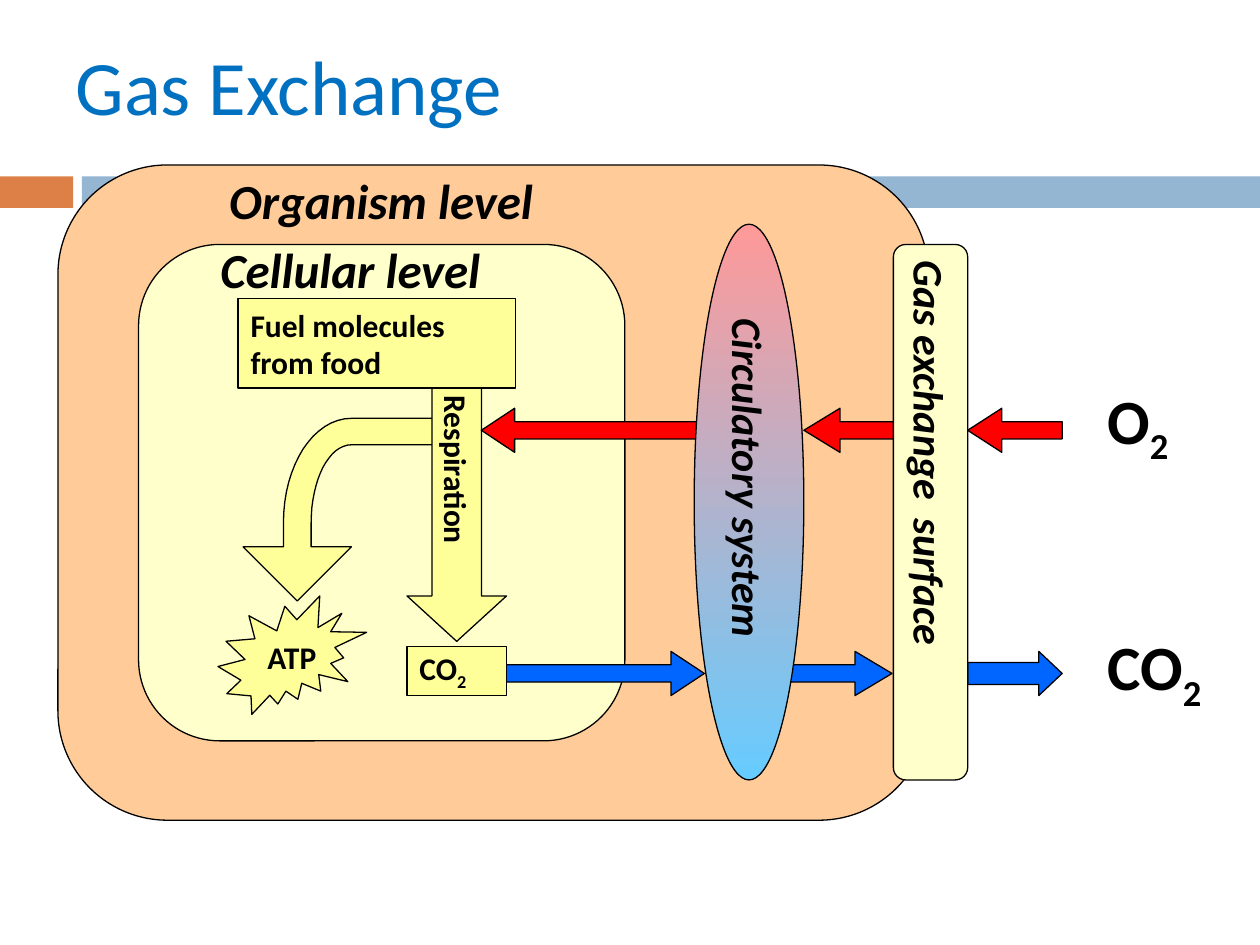
import pptx
import pptx.util
import pptx.dml.color
import pptx.enum.shapes
import pptx.enum.text

Inches = pptx.util.Inches
SHAPE = pptx.enum.shapes.MSO_SHAPE

FONT = "Calibri"
COLORS = {
    "title": "0070C0", "ink": "000000", "accent": "DD8047", "band": "94B6D2",
    "organism": "FFCC99", "pale": "FFFFCC", "yellow": "FFFF99",
    "oxygen": "FF0000", "carbon": "0066FF", "warm": "FF9999", "cool": "66CCFF",
}
ROUNDING = [0.167]

# Header bands: colour, left, width
BANDS = [("accent", 0, 0.58), ("band", 0.65, 9.35)]

# Nested levels: label, colour, box, label box
LEVELS = [
    ("Organism level", "organism", (0.46, 1.31, 6.91, 5.2), (1.72, 1.43, 3.62, 0.31)),
    ("Cellular level", "pale", (1.1, 1.94, 3.86, 3.94), (1.65, 1.94, 2.84, 0.39)),
]

# Bent arrow to ATP: a point is a line end, three points are a curve
ATP_ARROW = [
    [(2.36, 4.77)], [(1.93, 4.34)], [(2.25, 4.34)], [(2.25, 4.15)],
    [(2.25, 3.69), (2.49, 3.32), (2.79, 3.32)],
    [(3.46, 3.32)], [(3.46, 3.53)], [(2.79, 3.53)],
    [(2.61, 3.53), (2.47, 3.81), (2.47, 4.15)],
    [(2.47, 4.34)], [(2.79, 4.34)],
]
UNITS_PER_INCH = 1000

# Parts inside the cell: shape, box, adjustments, text, vertical
CELL_PARTS = [
    (SHAPE.DOWN_ARROW, (3.23, 3.04, 0.79, 2.05), [0.498, 0.456], "Respiration", True),
    (SHAPE.EXPLOSION2, (1.73, 4.73, 1.18, 0.94), [], "ATP", False),
    (SHAPE.RECTANGLE, (1.89, 2.37, 2.2, 0.71), [], "Fuel molecules\nfrom food", False),
]
CELL_CO2 = (SHAPE.RECTANGLE, (3.23, 5.13, 0.79, 0.39), [], "CO_2", False)

# Gas flows: shape, colour, top, arrows as (left, width, adjustments)
FLOW_HEIGHT = 0.35
FLOWS = [
    (SHAPE.LEFT_ARROW, "oxygen", 3.24, [
        (3.82, 2.09, [0.392, 0.755]), (6.38, 0.79, [0.392, 0.819]), (7.68, 0.75, [0.392, 0.774])]),
    (SHAPE.RIGHT_ARROW, "carbon", 5.17, [
        (3.5, 2.09, [0.392, 0.755]), (6.18, 0.9, [0.392, 0.838]), (7.68, 0.75, [0.5, 0.528])]),
]
GASES = [("O_2", (8.69, 3.17, 0.8, 0.39)), ("CO_2", (8.69, 5.13, 1.1, 0.39))]


def rgb(name):
    return pptx.dml.color.RGBColor.from_string(COLORS[name])


def inches(box):
    return [Inches(value) for value in box]


def paint(shape, fill, outlined=True):
    shape.shadow.inherit = False
    shape.fill.solid()
    shape.fill.fore_color.rgb = rgb(fill)
    if outlined:
        shape.line.color.rgb = rgb("ink")
        shape.line.width = pptx.util.Pt(0.75)
    else:
        shape.line.fill.background()


def add_part(slide, kind, box, fill, adjustments=(), outlined=True):
    shape = slide.shapes.add_shape(kind, *inches(box))
    for index, value in enumerate(adjustments):
        shape.adjustments[index] = value
    paint(shape, fill, outlined)
    return shape


def write(shape, text, size, italic=False, vertical=False):
    """Fill a shape with bold text; an underscore starts a subscript."""
    frame = shape.text_frame
    frame.word_wrap = False
    frame.vertical_anchor = pptx.enum.text.MSO_ANCHOR.MIDDLE
    if vertical:
        frame._txBody.bodyPr.set("vert", "eaVert")
    for index, line in enumerate(text.split("\n")):
        paragraph = frame.paragraphs[0] if index == 0 else frame.add_paragraph()
        paragraph.alignment = pptx.enum.text.PP_ALIGN.LEFT
        base, _, subscript = line.partition("_")
        paragraph.text = base
        if subscript:
            run = paragraph.add_run()
            run.text = subscript
            run._r.get_or_add_rPr().set("baseline", "-25000")
        for run in paragraph.runs:
            run.font.name = FONT
            run.font.size = pptx.util.Pt(size)
            run.font.bold = True
            run.font.italic = italic
            run.font.color.rgb = rgb("ink")


def add_label(slide, text, box, size, italic=False):
    write(slide.shapes.add_textbox(*inches(box)), text, size, italic)


def add_cell_part(slide, kind, box, adjustments, text, vertical):
    write(add_part(slide, kind, box, "yellow", adjustments), text, 18, vertical=vertical)


def outline_points(segments, steps=16):
    """Turn lines and curves in inches into points in freeform units."""
    points = []
    for segment in segments:
        if len(segment) == 1:
            points += segment
            continue
        curve = [points[-1]] + segment
        for step in range(1, steps + 1):
            t = step / steps
            weights = [(1 - t) ** 3, 3 * t * (1 - t) ** 2, 3 * t * t * (1 - t), t ** 3]
            points.append(tuple(sum(w * p[axis] for w, p in zip(weights, curve))
                                for axis in (0, 1)))
    return [(round(x * UNITS_PER_INCH), round(y * UNITS_PER_INCH)) for x, y in points]


def main():
    presentation = pptx.Presentation()
    presentation.slide_width, presentation.slide_height = Inches(10), Inches(7.5)
    slide = presentation.slides.add_slide(presentation.slide_layouts[5])

    # Title
    title = slide.shapes.title
    title.left, title.top, title.width, title.height = inches((0.5, 0.13, 8.92, 1.08))
    title.text_frame.text = "Gas Exchange"
    title.text_frame.vertical_anchor = pptx.enum.text.MSO_ANCHOR.MIDDLE
    paragraph = title.text_frame.paragraphs[0]
    paragraph.alignment = pptx.enum.text.PP_ALIGN.LEFT
    font = paragraph.runs[0].font
    font.name, font.size = FONT, pptx.util.Pt(44)
    font.color.rgb = rgb("title")

    # Header bands
    for color, left, width in BANDS:
        add_part(slide, SHAPE.RECTANGLE, (left, 1.4, width, 0.25), color, outlined=False)

    # Organism and cell
    for label, color, box, label_box in LEVELS:
        add_part(slide, SHAPE.ROUNDED_RECTANGLE, box, color, ROUNDING)
        add_label(slide, label, label_box, 28, italic=True)

    # Respiration inside the cell
    start, *others = outline_points(ATP_ARROW)
    builder = slide.shapes.build_freeform(*start, scale=Inches(1) / UNITS_PER_INCH)
    builder.add_line_segments(others, close=True)
    paint(builder.convert_to_shape(), "yellow")
    for part in CELL_PARTS:
        add_cell_part(slide, *part)

    # Gas flows, with the exchange surface over the arrow ends
    for kind, color, top, arrows in FLOWS:
        for left, width, adjustments in arrows:
            add_part(slide, kind, (left, top, width, FLOW_HEIGHT), color, adjustments)
    surface = add_part(slide, SHAPE.ROUNDED_RECTANGLE, (7.09, 1.94, 0.59, 4.25), "pale", ROUNDING)
    write(surface, "Gas exchange  surface", 24, italic=True, vertical=True)
    for gas, box in GASES:
        add_label(slide, gas, box, 36)
    add_cell_part(slide, *CELL_CO2)

    # Circulatory system, shaded from top to bottom
    circulation = add_part(slide, SHAPE.OVAL, (5.51, 1.78, 0.87, 4.41), "warm")
    circulation.fill.gradient()
    circulation.fill.gradient_angle = 270
    for stop, position, color in zip(circulation.fill.gradient_stops, (0, 1), ("warm", "cool")):
        stop.position = position
        stop.color.rgb = rgb(color)
    write(circulation, "Circulatory system", 24, italic=True, vertical=True)

    presentation.save("out.pptx")


if __name__ == "__main__":
    main()
